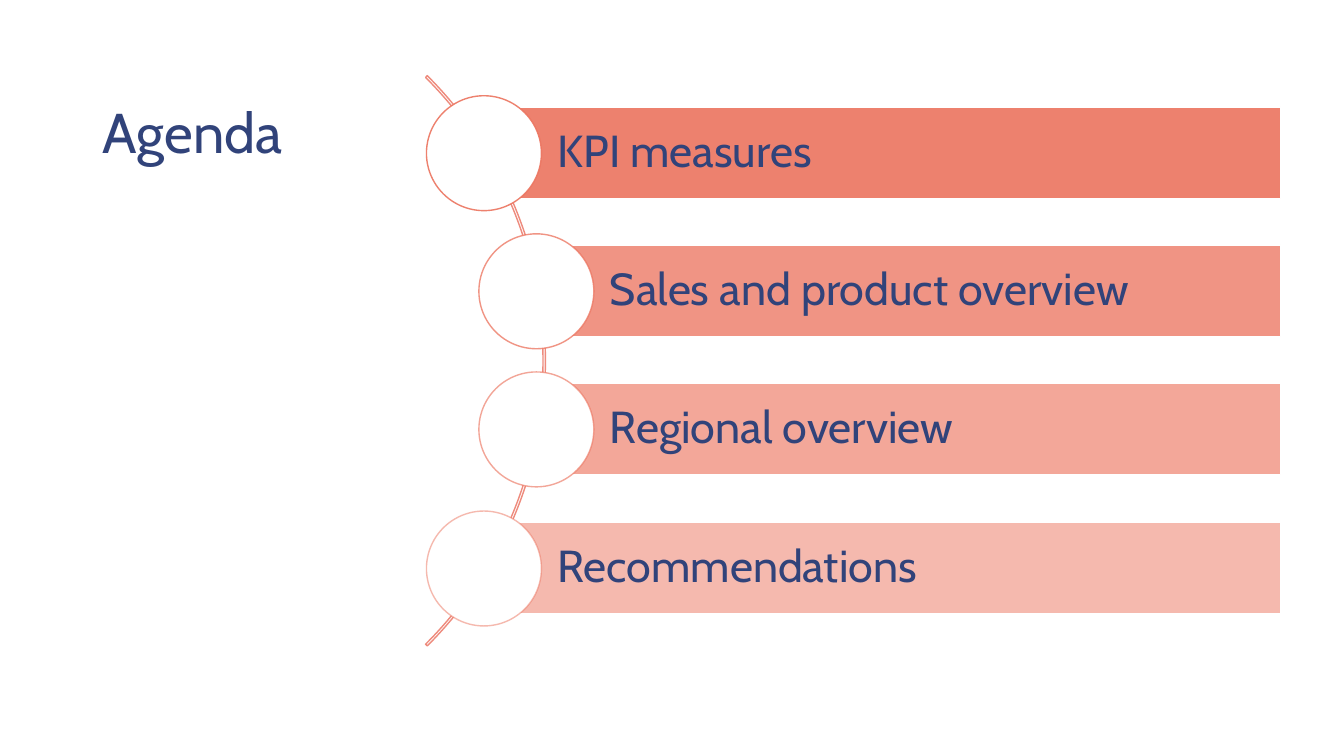
"""Build an agenda slide with four bars along an arc."""
from lxml.etree import SubElement
from pptx import Presentation
from pptx.dml.color import RGBColor
from pptx.enum.shapes import MSO_SHAPE as SHAPE
from pptx.enum.text import MSO_ANCHOR as ANCHOR, PP_ALIGN as ALIGN
from pptx.oxml.ns import qn
from pptx.util import Pt

PX = 9144
WHITE, CORAL, ARC_CORAL, NAVY = "FFFFFF", "EC745F", "EE8B7D", "31437A"


def paint(color_format, color, opacity=100):
    color_format.rgb = RGBColor.from_string(color)
    if opacity < 100:
        choice = color_format._color._xClr
        SubElement(choice, qn("a:alpha"), val=str(opacity * 1000))


def write(shape, text, size, inset, line_spacing):
    frame = shape.text_frame
    frame_format = {"word_wrap": True, "vertical_anchor": ANCHOR.MIDDLE,
                    "margin_left": inset * PX, "margin_right": 9 * PX,
                    "margin_top": 9 * PX, "margin_bottom": 9 * PX}
    for name, value in frame_format.items():
        setattr(frame, name, value)
    paragraph = frame.paragraphs[0]
    paragraph.alignment = ALIGN.LEFT
    paragraph.line_spacing = line_spacing
    run = paragraph.add_run()
    run.text = text
    for name, value in {"name": "Cabin", "size": Pt(size)}.items():
        setattr(run.font, name, value)
    paint(run.font.color, NAVY)


presentation = Presentation()
presentation.slide_width = 1333 * PX
presentation.slide_height = 750 * PX
slide = presentation.slides.add_slide(presentation.slide_layouts[6])

backdrop = slide.shapes.add_shape(SHAPE.RECTANGLE, 0, 0, 1333 * PX, 750 * PX)
backdrop.shadow.inherit = False
backdrop.fill.solid()
paint(backdrop.fill.fore_color, WHITE)
backdrop.line.fill.background()

title = slide.shapes.add_textbox(92 * PX, 60 * PX, 374 * PX, 141 * PX)
write(title, "Agenda", 40, 10, 1.0)

arc = slide.shapes.add_shape(SHAPE.BLOCK_ARC, -259 * PX, -42 * PX, 800 * PX, 800 * PX)
for index, value in enumerate((189, 27, 0.003)):
    arc.adjustments[index] = value
arc.shadow.inherit = False
arc.fill.background()
arc.line.width = Pt(1)
paint(arc.line.color, ARC_CORAL)

topics = [("KPI measures", 480), ("Sales and product overview", 532),
          ("Regional overview", 532), ("Recommendations", 480)]
for index, (topic, left) in enumerate(topics):
    offset = 412 * index // 3
    opacity = round(90 - 40 * index / 3)
    bar = slide.shapes.add_shape(
        SHAPE.RECTANGLE, left * PX, (106 + offset) * PX, (1270 - left) * PX, 91 * PX)
    circle = slide.shapes.add_shape(
        SHAPE.OVAL, (left - 57) * PX, (95 + offset) * PX, 114 * PX, 114 * PX)
    for shape, fill, fill_opacity, line, line_opacity in (
            (bar, CORAL, opacity, WHITE, 100), (circle, WHITE, 100, CORAL, opacity)):
        shape.shadow.inherit = False
        shape.fill.solid()
        paint(shape.fill.fore_color, fill, fill_opacity)
        shape.line.width = Pt(1)
        paint(shape.line.color, line, line_opacity)
    write(bar, topic, 32, 73, 0.9)

presentation.save("out.pptx")
